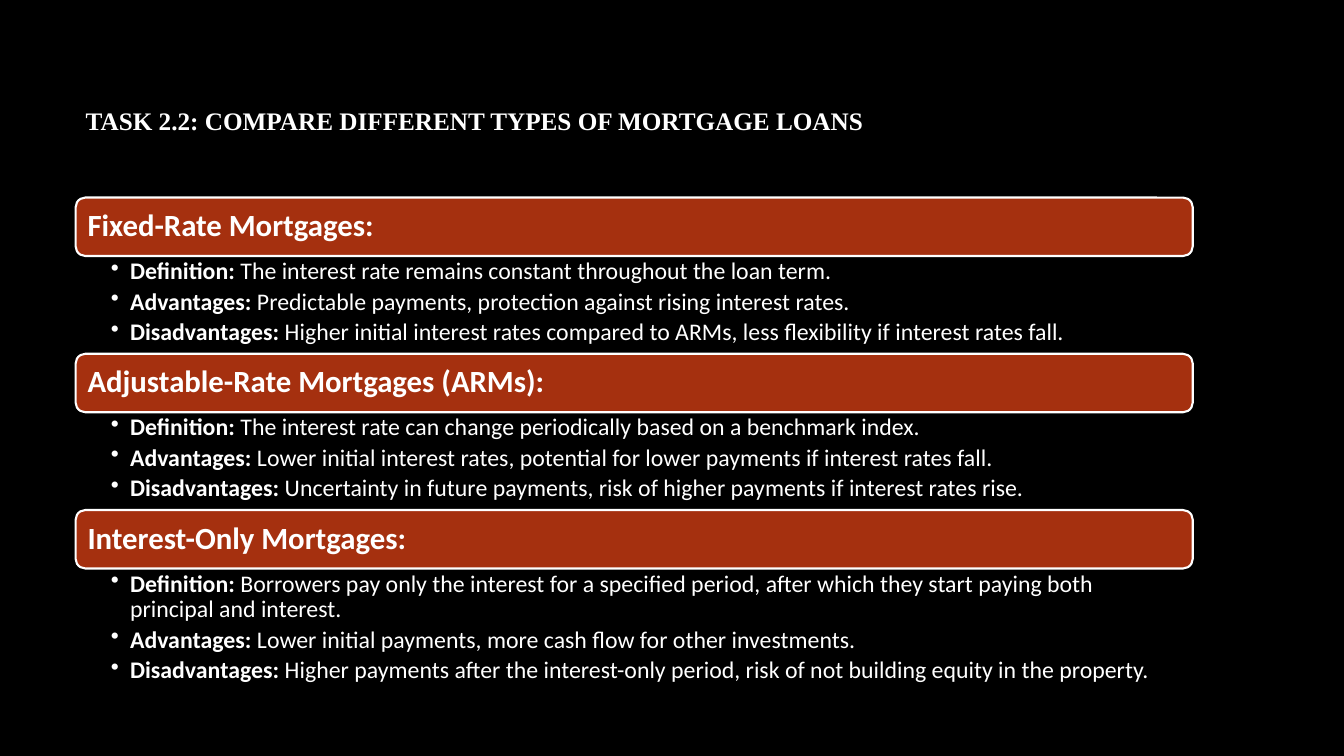
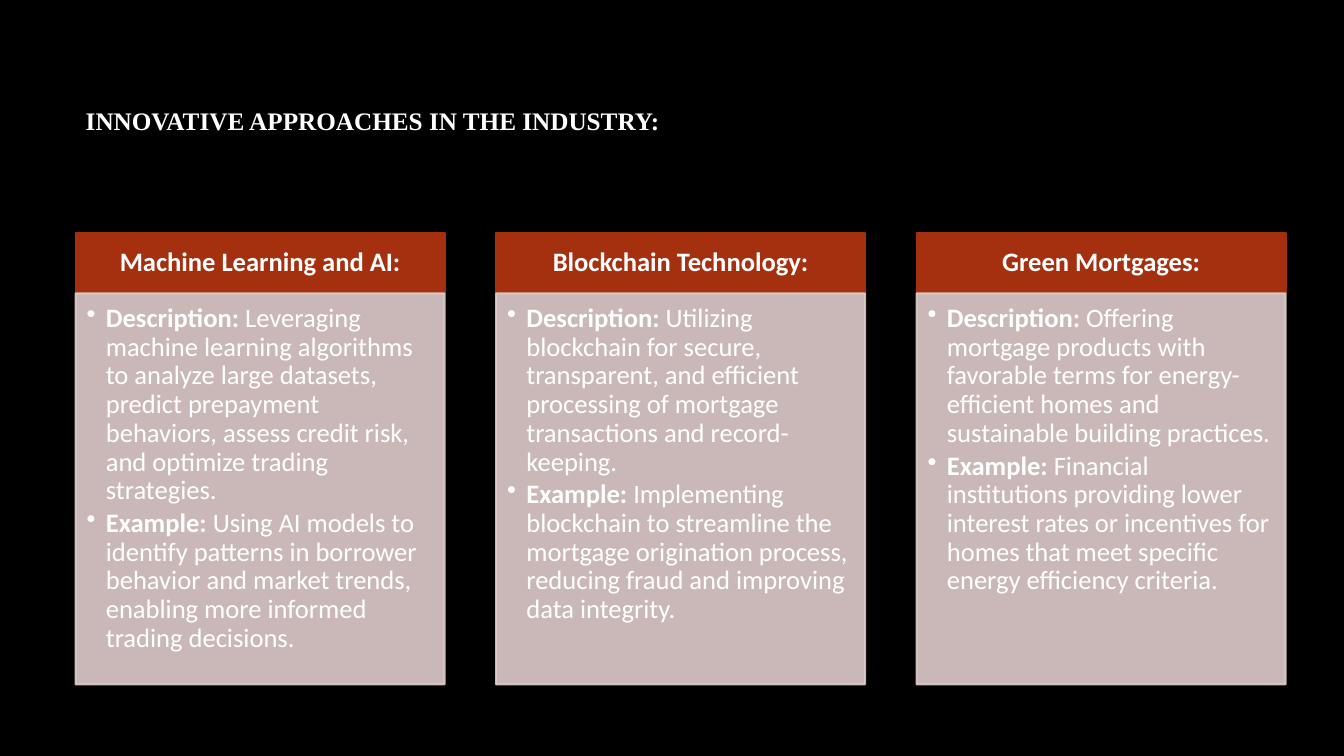
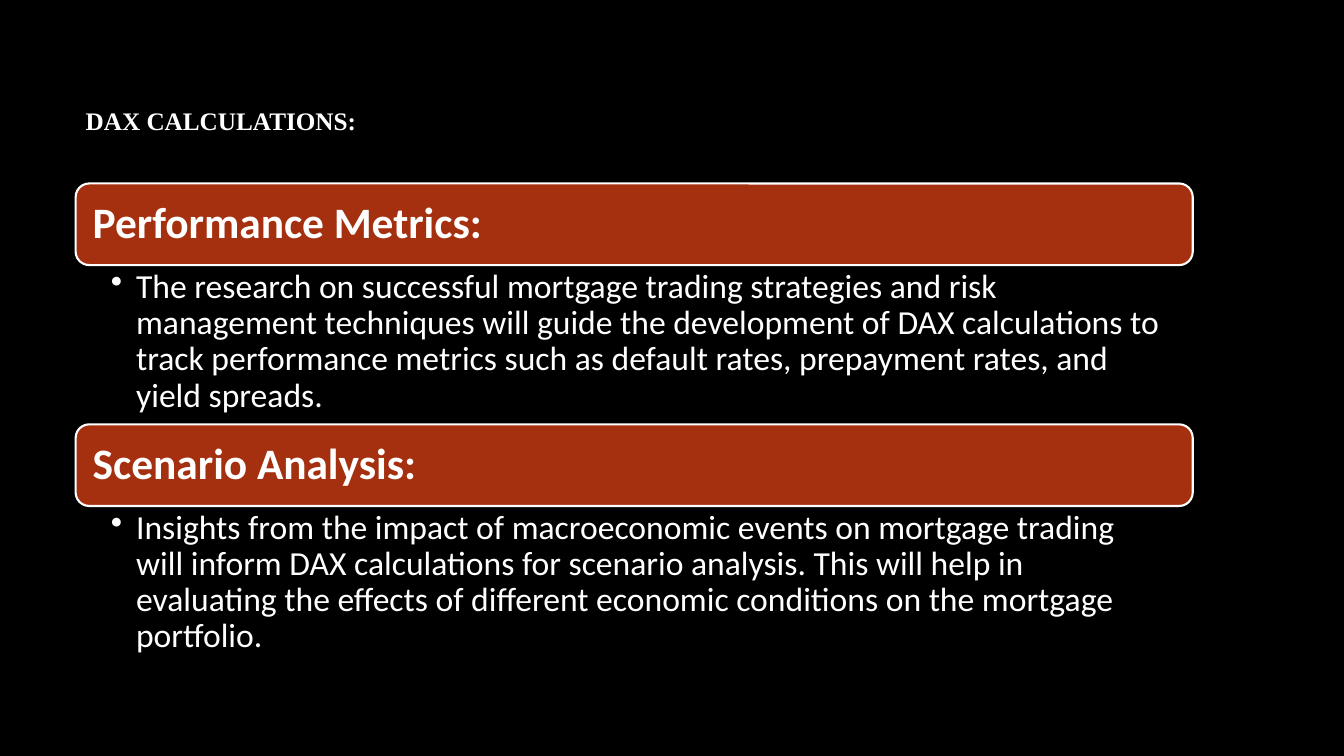
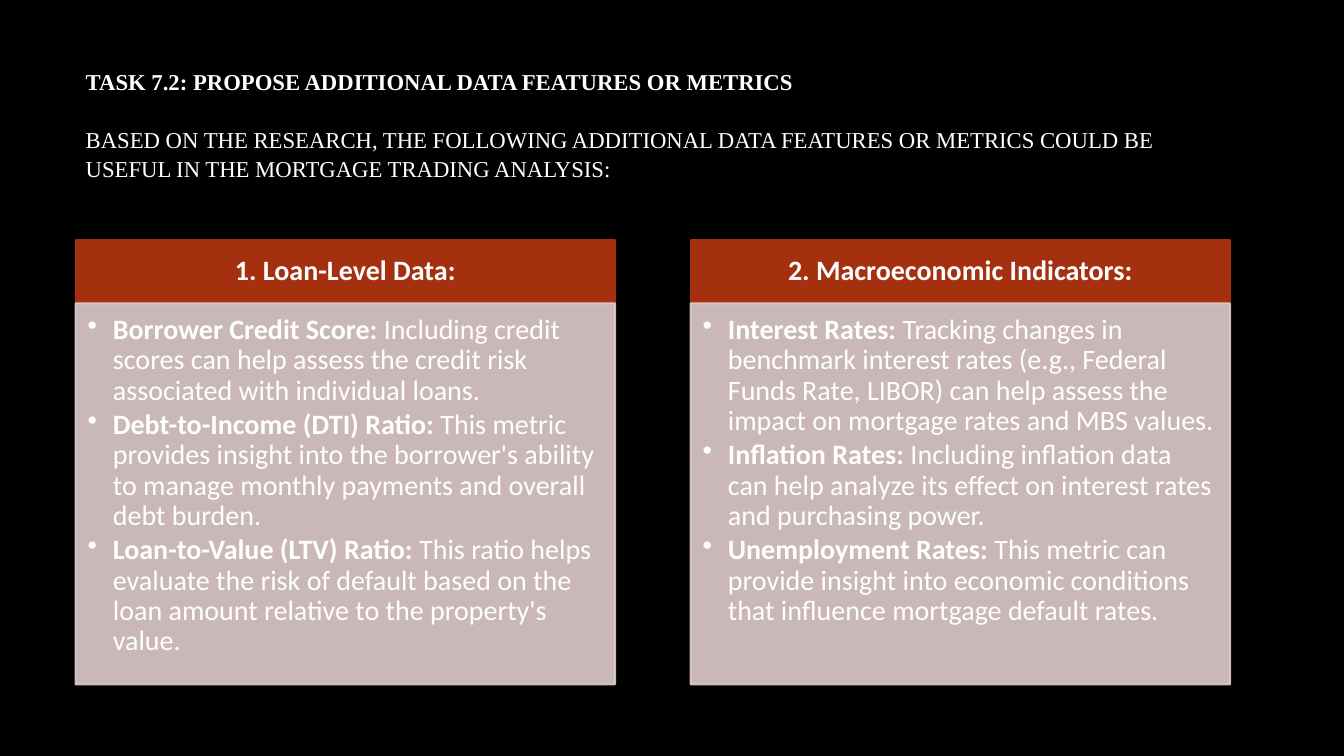
from dataclasses import dataclass

from pptx import Presentation, util as u
from pptx.dml.color import RGBColor
from pptx.enum import shapes, text
from pptx.oxml import ns, xmlchemy
from lxml import etree


@dataclass(frozen=True)
class Theme:
    back: str = "000000"
    ink: str = "FFFFFF"
    rust: str = "A5300F"
    blush: str = "E1CDCC"
    serif: str = "Times New Roman"
    sans: str = "Calibri"
    title: float = 18
    small: float = 16.2
    left: float = 0.75
    wide: float = 11.08
    rule: float = 1.5
    gap: float = 0.14  # gap between cards, as a share of card width


T = Theme()


@dataclass(frozen=True)
class Style:
    """Sizes of one set of headed blocks, in inches and points."""
    top: float
    bar: float
    head: float
    body: float
    dent: float
    pad: tuple
    ins: tuple
    after: float


LOANS = Style(1.96, 0.58, 22, 17, 0.19, (0.09,) * 4,
              (0.35, 0.03, 0.17, 0.03), 0.2)
DAX = Style(1.82, 0.81, 31, 24, 0.25, (0.13,) * 4,
            (0.35, 0.04, 0.24, 0.04), 0.2)
IDEAS = Style(2.31, 0.6, 19, 19, 0.19, (0.15, 0.08, 0.15, 0.08),
              (0.11, 0.11, 0.15, 0.17), 0.15)
DATA = Style(2.38, 0.63, 20, 20, 0.25, (0.16, 0.09, 0.16, 0.09),
             (0.12, 0.12, 0.16, 0.17), 0.15)


# Text helpers
def color(code):
    return RGBColor.from_string(code)


def paint(font, face, size, bold=False):
    font.name, font.size, font.bold = face, u.Pt(size), bold
    font.color.rgb = color(T.ink)


def frame(shape, ins, anchor):
    box = shape.text_frame
    box.word_wrap = True
    box.auto_size = text.MSO_AUTO_SIZE.NONE
    box.vertical_anchor = anchor
    (box.margin_left, box.margin_top,
     box.margin_right, box.margin_bottom) = map(u.Inches, ins)
    return box


def label(shape, words, style, align):
    box = frame(shape, style.pad, text.MSO_ANCHOR.MIDDLE)
    box.text = words
    para = box.paragraphs[0]
    para.alignment, para.line_spacing = align, 0.9
    paint(para.runs[0].font, T.sans, style.head, True)


def bullets(shape, items, style):
    box = frame(shape, style.ins, text.MSO_ANCHOR.TOP)
    for i, item in enumerate(items):
        para = box.add_paragraph() if i else box.paragraphs[0]
        prop = para._p.get_or_add_pPr()
        dent = u.Inches(style.dent)
        prop.set("marL", str(dent))
        prop.set("indent", str(-dent))
        etree.SubElement(prop, ns.qn("a:buChar")).set("char", "•")
        para.level, para.line_spacing = 1, 0.9
        para.alignment = text.PP_ALIGN.LEFT
        para.space_before = u.Pt(0)
        para.space_after = u.Pt(style.body * style.after)
        # Words up to the first colon are the bold lead
        lead, colon, rest = item.partition(":")
        for words, bold in ((lead + colon, bool(colon)), (rest, False)):
            if words:
                run = para.add_run()
                run.text = words
                paint(run.font, T.sans, style.body, bold)


# Shapes
def block(slide, kind, place, fill, line, alpha=None):
    shape = slide.shapes.add_shape(kind, *map(u.Inches, place))
    shape.shadow.inherit = False
    shape.fill.solid()
    shape.fill.fore_color.rgb = color(fill)
    shape.line.color.rgb = color(line)
    shape.line.width = u.Pt(T.rule)
    if alpha:
        for tint in shape.element.spPr.iter(ns.qn("a:srgbClr")):
            etree.SubElement(tint, ns.qn("a:alpha")).set(
                "val", str(alpha * 1000))
    return shape


def page(deck, words, note=None):
    slide = deck.slides.add_slide(deck.slide_layouts[5])
    head = slide.shapes.title
    head.left, head.top, head.width, head.height = map(
        u.Inches, (T.left, 0.67, T.wide, 1.59))
    box = frame(head, (0.1, 0 if note else 0.37, 0.1, 0.05),
                text.MSO_ANCHOR.TOP)
    box.text = words
    size = T.small if note else T.title
    paint(box.paragraphs[0].runs[0].font, T.serif, size, True)
    if note:
        para = box.add_paragraph()
        para.text = note
        para.space_before = para.line_spacing = u.Pt(20.7)
        paint(para.runs[0].font, T.serif, size)
    for para in box.paragraphs:
        para.alignment = text.PP_ALIGN.LEFT
    return slide


def stack(slide, style, parts):
    """Full-width bars, each with its bullets below."""
    y = style.top
    for head, tall, items in parts:
        bar = block(slide, shapes.MSO_SHAPE.ROUNDED_RECTANGLE,
                    (T.left, y, T.wide, style.bar), T.rust, T.ink)
        label(bar, head, style, text.PP_ALIGN.LEFT)
        y += style.bar
        body = slide.shapes.add_textbox(
            *map(u.Inches, (T.left, y, T.wide, tall)))
        bullets(body, items, style)
        y += tall


def cards(slide, style, span, parts):
    """Equal columns, each a heading over a pale panel."""
    count = len(parts)
    wide = span / (count + (count - 1) * T.gap)
    low = style.top + style.bar
    rect = shapes.MSO_SHAPE.RECTANGLE
    for i, (head, items) in enumerate(parts):
        x = T.left + i * wide * (1 + T.gap)
        bar = block(slide, rect, (x, style.top, wide, style.bar),
                    T.rust, T.rust)
        label(bar, head, style, text.PP_ALIGN.CENTER)
        body = block(slide, rect, (x, low, wide, 6.79 - low),
                     T.blush, T.blush, 90)
        bullets(body, items, style)


def main():
    deck = Presentation()
    deck.slide_width, deck.slide_height = u.Inches(13.33), u.Inches(7.5)
    back = deck.slide_master.background.fill
    back.solid()
    back.fore_color.rgb = color(T.back)

    # Loan types
    slide = page(deck, "TASK 2.2: COMPARE DIFFERENT TYPES OF MORTGAGE LOANS")
    stack(slide, LOANS, [
        ("Fixed-Rate Mortgages:", 0.97, [
            "Definition: The interest rate remains constant throughout the loan term.",
            "Advantages: Predictable payments, protection against rising interest rates.",
            "Disadvantages: Higher initial interest rates compared to ARMs, less flexibility if interest rates fall."]),
        ("Adjustable-Rate Mortgages (ARMs):", 0.97, [
            "Definition: The interest rate can change periodically based on a benchmark index.",
            "Advantages: Lower initial interest rates, potential for lower payments if interest rates fall.",
            "Disadvantages: Uncertainty in future payments, risk of higher payments if interest rates rise."]),
        ("Interest-Only Mortgages:", 1.22, [
            "Definition: Borrowers pay only the interest for a specified period, after which they start paying both principal and interest.",
            "Advantages: Lower initial payments, more cash flow for other investments.",
            "Disadvantages: Higher payments after the interest-only period, risk of not building equity in the property."]),
    ])

    # Innovative approaches
    slide = page(deck, "INNOVATIVE APPROACHES IN THE INDUSTRY:")
    cards(slide, IDEAS, 12, [
        ("Machine Learning and AI:", [
            "Description: Leveraging machine learning algorithms to analyze large datasets, predict prepayment behaviors, assess credit risk, and optimize trading strategies.",
            "Example: Using AI models to identify patterns in borrower behavior and market trends, enabling more informed trading decisions."]),
        ("Blockchain Technology:", [
            "Description: Utilizing blockchain for secure, transparent, and efficient processing of mortgage transactions and record-keeping.",
            "Example: Implementing blockchain to streamline the mortgage origination process, reducing fraud and improving data integrity."]),
        ("Green Mortgages:", [
            "Description: Offering mortgage products with favorable terms for energy-efficient homes and sustainable building practices.",
            "Example: Financial institutions providing lower interest rates or incentives for homes that meet specific energy efficiency criteria."]),
    ])

    # DAX calculations
    slide = page(deck, "DAX CALCULATIONS:")
    stack(slide, DAX, [
        ("Performance Metrics:", 1.58, [
            "The research on successful mortgage trading strategies and risk management techniques will guide the development of DAX calculations to track performance metrics such as default rates, prepayment rates, and yield spreads."]),
        ("Scenario Analysis:", 1.58, [
            "Insights from the impact of macroeconomic events on mortgage trading will inform DAX calculations for scenario analysis. This will help in evaluating the effects of different economic conditions on the mortgage portfolio."]),
    ])

    # Additional data features
    slide = page(
        deck, "TASK 7.2: PROPOSE ADDITIONAL DATA FEATURES OR METRICS",
        "BASED ON THE RESEARCH, THE FOLLOWING ADDITIONAL DATA FEATURES OR METRICS COULD BE USEFUL IN THE MORTGAGE TRADING ANALYSIS:")
    cards(slide, DATA, 11.45, [
        ("1. Loan-Level Data:", [
            "Borrower Credit Score: Including credit scores can help assess the credit risk associated with individual loans.",
            "Debt-to-Income (DTI) Ratio: This metric provides insight into the borrower's ability to manage monthly payments and overall debt burden.",
            "Loan-to-Value (LTV) Ratio: This ratio helps evaluate the risk of default based on the loan amount relative to the property's value."]),
        ("2. Macroeconomic Indicators:", [
            "Interest Rates: Tracking changes in benchmark interest rates (e.g., Federal Funds Rate, LIBOR) can help assess the impact on mortgage rates and MBS values.",
            "Inflation Rates: Including inflation data can help analyze its effect on interest rates and purchasing power.",
            "Unemployment Rates: This metric can provide insight into economic conditions that influence mortgage default rates."]),
    ])

    deck.save("out.pptx")


if __name__ == "__main__":
    main()
